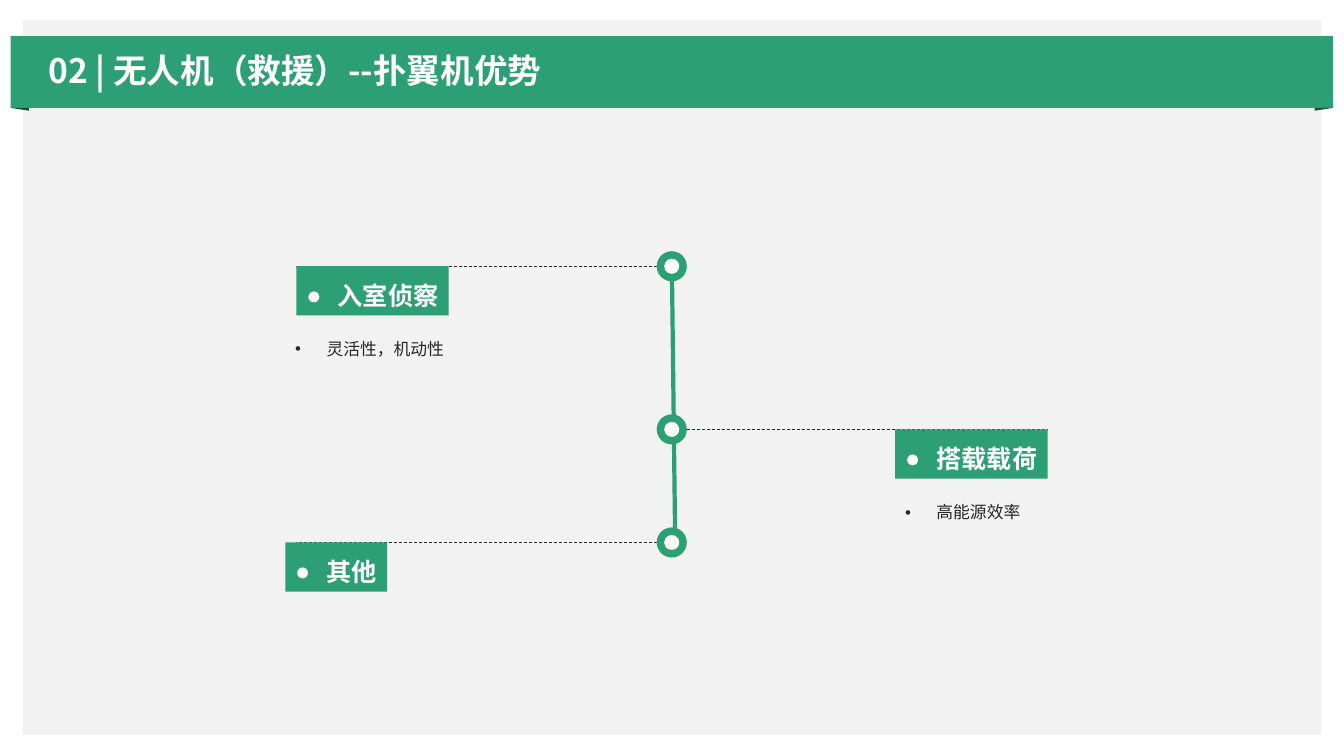
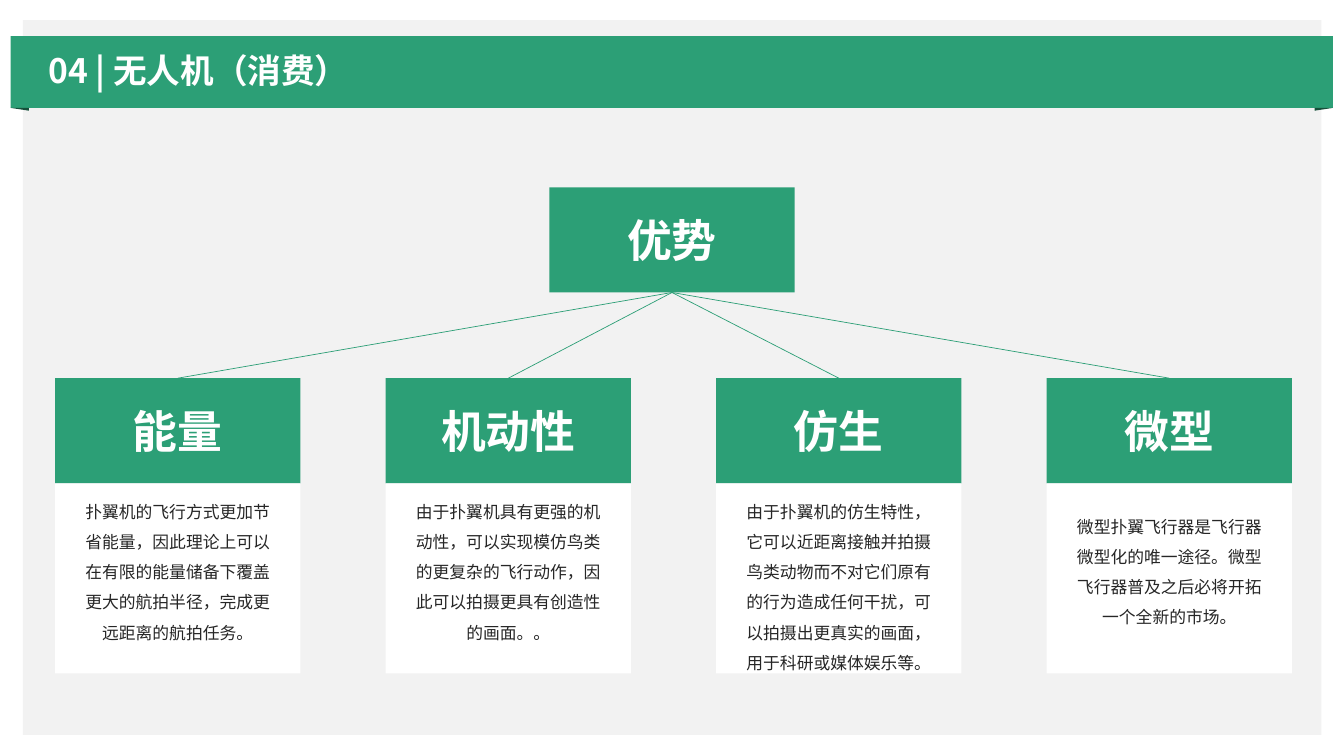
"""Build two slides on the advantages of flapping-wing drones."""
from lxml import etree
from pptx import Presentation
from pptx import util as u
from pptx.dml.color import RGBColor
from pptx.enum import dml, shapes, text
from pptx.oxml.ns import qn

Cm = u.Cm
FONT = "Noto Sans CJK SC"
COLORS = {"green": "2C9F76", "dark": "16503B", "page": "F2F2F2", "white": "FFFFFF", "ink": "262626"}
RGB = {name: RGBColor.from_string(value) for name, value in COLORS.items()}
MSO, ALIGN, ANCHOR = shapes.MSO_SHAPE, text.PP_ALIGN, text.MSO_ANCHOR


def add_box(s, x, y, w, h, fill, kind=MSO.RECTANGLE):
    sp = s.shapes.add_shape(kind, Cm(x), Cm(y), Cm(w), Cm(h))
    sp.shadow.inherit = False
    sp.fill.solid()
    sp.fill.fore_color.rgb = RGB[fill]
    sp.line.fill.background()
    return sp


def write(sp, string, size=12, color="ink", bold=False, align=ALIGN.LEFT, anchor=ANCHOR.TOP,
          spacing=1.0, bullet=None, wrap=True, side=0.25, top=0.13):
    tf = sp.text_frame
    tf.word_wrap = wrap
    tf.vertical_anchor = anchor
    tf.margin_left = tf.margin_right = Cm(side)
    tf.margin_top, tf.margin_bottom = Cm(top), Cm(0.13)
    p = tf.paragraphs[0]
    p.alignment = align
    p.line_spacing = spacing
    if bullet:
        pPr = p._p.get_or_add_pPr()
        pPr.set("marL", str(Cm(0.79)))
        pPr.set("indent", str(-Cm(0.79)))
        etree.SubElement(pPr, qn("a:buFont")).set("typeface", "Arial")
        etree.SubElement(pPr, qn("a:buChar")).set("char", bullet)
    r = p.add_run()
    r.text = string
    r.font.size, r.font.bold, r.font.name = u.Pt(size), bold, FONT
    r.font.color.rgb = RGB[color]
    etree.SubElement(r._r.get_or_add_rPr(), qn("a:ea")).set("typeface", FONT)


prs = Presentation()
prs.slide_width, prs.slide_height = Cm(33.87), Cm(19.05)

BAND_X, BAND_W, BAND_BOTTOM = 0.27, 33.32, 2.72
for title in ("02 | 无人机（救援）--扑翼机优势", "04 | 无人机（消费）"):
    s = prs.slides.add_slide(prs.slide_layouts[6])
    add_box(s, 0.58, 0.51, 32.72, 18.01, "page")
    add_box(s, BAND_X, 0.91, BAND_W, 1.81, "green")
    for outer, inner in ((BAND_X, BAND_X + 0.46), (BAND_X + BAND_W, BAND_X + BAND_W - 0.46)):
        fb = s.shapes.build_freeform(Cm(outer), Cm(BAND_BOTTOM))
        fb.add_line_segments([(Cm(inner), Cm(BAND_BOTTOM)), (Cm(inner), Cm(BAND_BOTTOM + 0.07))])
        fold = fb.convert_to_shape()
        fold.shadow.inherit = False
        fold.fill.solid()
        fold.fill.fore_color.rgb = RGB["dark"]
        fold.line.fill.background()
    sp = s.shapes.add_textbox(Cm(0.97), Cm(1.17), Cm(31.8), Cm(1.3))
    write(sp, title, size=24, color="white", bold=True, anchor=ANCHOR.MIDDLE, spacing=0.9)

rescue, consumer = prs.slides
STRAIGHT = shapes.MSO_CONNECTOR.STRAIGHT

AXIS_X = 16.93
nodes = [
    (6.71, 7.47, 7.47, 3.84, "入室侦察", 7.19, "灵活性，机动性"),
    (10.82, 26.4, 22.56, 3.84, "搭载载荷", 22.56, "高能源效率"),
    (13.67, 7.47, 7.19, 2.57, "其他", None, None),
]
for y, end_x, *_ in nodes:
    cn = rescue.shapes.add_connector(STRAIGHT, Cm(AXIS_X), Cm(y), Cm(end_x), Cm(y))
    cn.line.color.rgb = RGB["ink"]
    cn.line.width = u.Pt(0.5)
    cn.line.dash_style = dml.MSO_LINE.DASH

spine = rescue.shapes.add_connector(STRAIGHT, Cm(AXIS_X), Cm(6.53), Cm(17.02), Cm(14.02))
spine.line.color.rgb = RGB["green"]
spine.line.width = u.Pt(3)
etree.SubElement(spine.line._get_or_add_ln(), qn("a:tailEnd")).set("type", "stealth")

for y, _, label_x, label_w, label, detail_x, detail in nodes:
    for size, fill in ((0.76, "green"), (0.38, "white")):
        add_box(rescue, AXIS_X - size / 2, y - size / 2, size, size, fill, MSO.OVAL)
    sp = add_box(rescue, label_x, y, label_w, 1.24, "green")
    write(sp, label, size=18, color="white", bold=True, spacing=1.3, bullet="●", wrap=False)
    if detail:
        sp = rescue.shapes.add_textbox(Cm(detail_x), Cm(y + 1.45), Cm(8.92), Cm(1.02))
        write(sp, detail, spacing=1.5, bullet="•")

CARD_W, HEAD_H, CARD_Y = 6.18, 2.65, 9.53
heading = dict(size=32, color="white", bold=True, align=ALIGN.CENTER, anchor=ANCHOR.MIDDLE)
root = add_box(consumer, (33.87 - CARD_W) / 2, 4.72, CARD_W, HEAD_H, "green")
write(root, "优势", **heading)

cards = [
    ("能量", 0.2, "扑翼机的飞行方式更加节省能量，因此理论上可以在有限的能量储备下覆盖更大的航拍半径，完成更远距离的航拍任务。"),
    ("机动性", 0.2, "由于扑翼机具有更强的机动性，可以实现模仿鸟类的更复杂的飞行动作，因此可以拍摄更具有创造性的画面。。"),
    ("仿生", 0.2, "由于扑翼机的仿生特性，它可以近距离接触并拍摄鸟类动物而不对它们原有的行为造成任何干扰，可以拍摄出更真实的画面，用于科研或媒体娱乐等。"),
    ("微型", 0.58, "微型扑翼飞行器是飞行器微型化的唯一途径。微型飞行器普及之后必将开拓一个全新的市场。"),
]
for i, (name, top, body) in enumerate(cards):
    x = 1.39 + 8.33 * i
    head = add_box(consumer, x, CARD_Y, CARD_W, HEAD_H, "green")
    write(head, name, **heading)
    panel = add_box(consumer, x, CARD_Y + HEAD_H, CARD_W, 4.79, "white")
    write(panel, body, align=ALIGN.CENTER, spacing=1.5, side=0.74, top=top)
    cn = consumer.shapes.add_connector(STRAIGHT, 0, 0, 0, 0)
    cn.begin_connect(root, 2)
    cn.end_connect(head, 0)
    cn.line.color.rgb = RGB["green"]
    cn.line.width = u.Pt(0.5)

for s in prs.slides:
    for cn in s.shapes:
        if cn.shape_type == shapes.MSO_SHAPE_TYPE.LINE:
            etree.SubElement(cn._element.spPr, qn("a:effectLst"))

prs.save("out.pptx")
